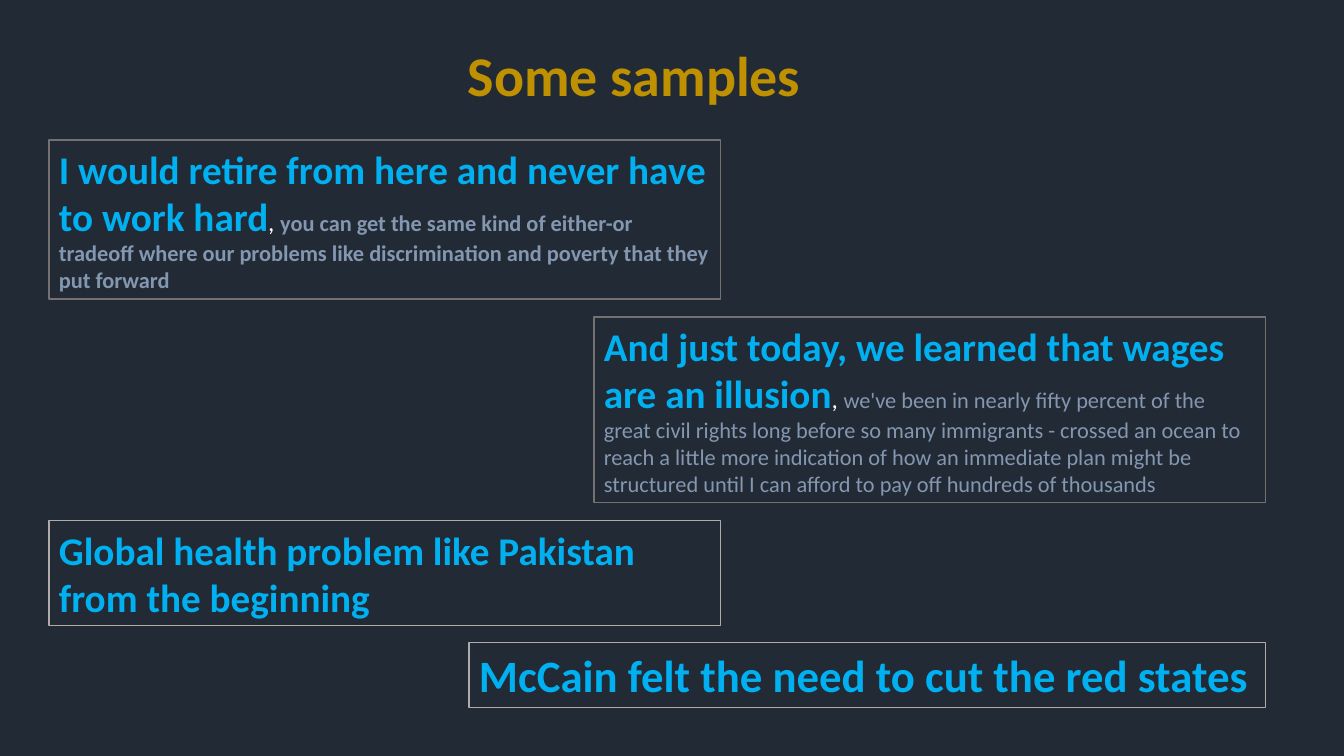
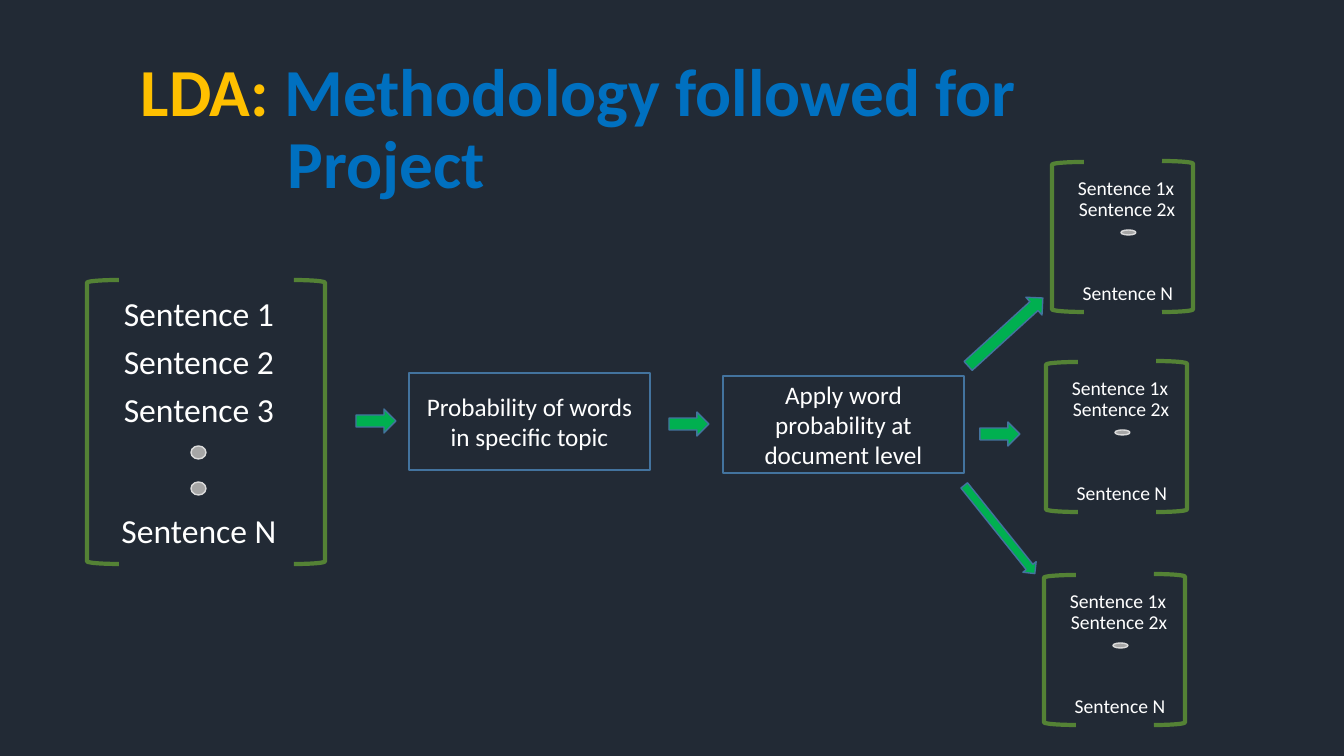
import pptx
import pptx.dml.color
import pptx.enum.shapes
import pptx.enum.text
import pptx.util

PX = 9525 * 20 / 21  # 100.8 px to the inch
SHAPE = pptx.enum.shapes.MSO_SHAPE
ALIGN = pptx.enum.text.PP_ALIGN
ANCHOR = pptx.enum.text.MSO_ANCHOR
rgb = pptx.dml.color.RGBColor.from_string

BACKGROUND, WHITE = "222A35", "FFFFFF"
SKY, SLATE, GOLD = "00B0F0", "8497B0", "BF9000"
AMBER, BLUE = "FFC000", "0070C0"
GREY_EDGE, LIGHT_EDGE, BLUE_EDGE = "767171", "AFABAB", "43739E"
BRACKET, ARROW, DOT, DOT_EDGE = "548235", "00B050", "A6A6A6", "DBDBDB"


def draw(shapes, kind, box, fill=None, line=None, width=1.0, rotation=0):
    """Add a preset shape, or a text box when kind is None; box is in px."""
    box = [round(v * PX) for v in box]
    if kind is None:
        return shapes.add_textbox(*box)
    sp = shapes.add_shape(kind, *box)
    sp.shadow.inherit = False
    sp.rotation = rotation
    if fill:
        sp.fill.solid()
        sp.fill.fore_color.rgb = rgb(fill)
    else:
        sp.fill.background()
    sp.line.color.rgb = rgb(line)
    sp.line.width = pptx.util.Pt(width)
    return sp


def write(sp, text, size=18, color=WHITE, bold=False, centred=False, wrap=True):
    """Append a run to the shape's first paragraph; centred works both ways."""
    tf = sp.text_frame
    tf.word_wrap = wrap
    tf.vertical_anchor = ANCHOR.MIDDLE if centred else ANCHOR.TOP
    p = tf.paragraphs[0]
    p.alignment = ALIGN.CENTER if centred else ALIGN.LEFT
    r = p.add_run()
    r.text = text
    r.font.name = "Calibri"
    r.font.size = pptx.util.Pt(size)
    r.font.bold = bold
    r.font.color.rgb = rgb(color)


prs = pptx.Presentation()
prs.slide_width, prs.slide_height = round(1344 * PX), round(756 * PX)
background = prs.slide_master.background.fill
background.solid()
background.fore_color.rgb = rgb(BACKGROUND)
blank = prs.slide_layouts[6]

# Slide 1: generated samples
s = prs.slides.add_slide(blank)
title = draw(s.shapes, None, (458, 36, 357, 78))
write(title, "Some samples", size=40, color=GOLD, bold=True, wrap=False)

samples = [
    ((49, 140, 672, 159), GREY_EDGE, 28,
     "I would retire from here and never have to work hard",
     "you can get the same kind of either-or tradeoff where our problems like "
     "discrimination and poverty that they put forward", True),
    ((594, 317, 672, 186), GREY_EDGE, 28,
     "And just today, we learned that wages are an illusion",
     "we've been in nearly fifty percent of the great civil rights long before "
     "so many immigrants - crossed an ocean to reach a little more indication "
     "of how an immediate plan might be structured until I can afford to pay "
     "off hundreds of thousands", False),
    ((49, 521, 672, 105), LIGHT_EDGE, 28,
     "Global health problem like Pakistan from the beginning", None, False),
    ((469, 643, 797, 65), LIGHT_EDGE, 32,
     "McCain felt the need to cut the red states", None, False),
]
for box, edge, size, lead, rest, rest_bold in samples:
    sp = draw(s.shapes, SHAPE.RECTANGLE, box, line=edge, width=0.75)
    write(sp, lead, size=size, color=SKY, bold=True, wrap=size == 28)
    if rest:
        write(sp, ", ")
        write(sp, rest, size=16, color=SLATE, bold=rest_bold)

# Slide 2: method
s = prs.slides.add_slide(blank)
title = draw(s.shapes, None, (131, 44, 1049, 92))
write(title, "LDA: ", size=48, color=AMBER, bold=True)
write(title, "Methodology followed for", size=48, color=BLUE, bold=True)
title_end = draw(s.shapes, None, (278, 116, 241, 92))
write(title_end, "Project", size=48, color=BLUE, bold=True)

# Bracketed lists: boxes are relative to the list's top left corner
corpus = {
    "size": 24,
    "texts": [("Sentence 1", (16, 0, 192, 67)), ("Sentence 2", (16, 48, 192, 67)),
              ("Sentence 3", (16, 96, 192, 67)), ("Sentence N", (16, 217, 192, 67))],
    "brackets": [(0, 0, 32, 284), (207, 0, 31, 284)],
    "dots": [(104, 166, 15, 13), (104, 202, 15, 13)],
}
document = {
    "size": 14,
    "texts": [("Sentence 1x", (0, 13, 148, 25)), ("Sentence 2x", (1, 34, 148, 25)),
              ("Sentence N", (2, 118, 148, 25))],
    "brackets": [(0, 0, 32, 150), (110, -1, 31, 151)],
    "dots": [(69, 68, 15, 5)],
}
lists = [(87, 280, corpus), (1052, 162, document),
         (1046, 362, document), (1044, 575, document)]
for left, top, parts in lists:
    group = s.shapes.add_group_shape().shapes
    for text, (x, y, w, h) in parts["texts"]:
        sp = draw(group, None, (left + x, top + y, w, h))
        write(sp, text, size=parts["size"], centred=True)
    for (x, y, w, h), rotation in zip(parts["brackets"], (0, 180)):
        draw(group, SHAPE.LEFT_BRACKET, (left + x, top + y, w, h),
             line=BRACKET, width=3, rotation=rotation)
    for x, y, w, h in parts["dots"]:
        draw(group, SHAPE.FLOWCHART_CONNECTOR, (left + x, top + y, w, h),
             fill=DOT, line=DOT_EDGE)

steps = [(409, 373, "Probability of words in specific topic"),
         (723, 376, "Apply word probability at document level")]
for x, y, text in steps:
    sp = draw(s.shapes, SHAPE.RECTANGLE, (x, y, 241, 97), line=BLUE_EDGE)
    write(sp, text, centred=True)

arrows = [((356, 409, 40, 24), 0), ((669, 412, 40, 24), 0),
          ((955, 320, 101, 24), 317.7), ((943, 521, 113, 17), 51.3),
          ((980, 422, 40, 24), 0)]
for box, rotation in arrows:
    draw(s.shapes, SHAPE.RIGHT_ARROW, box, fill=ARROW, line=BLUE_EDGE,
         rotation=rotation)

prs.save("out.pptx")
